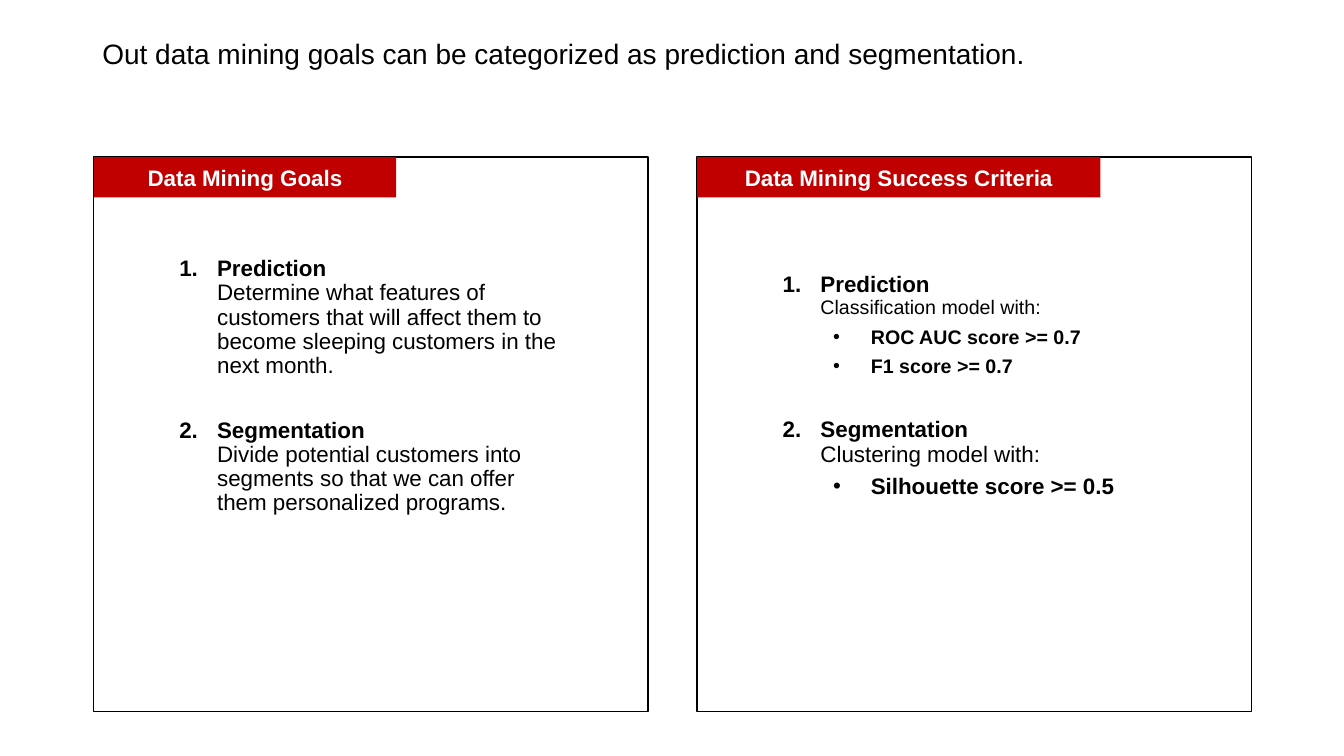
from lxml import etree
from pptx import Presentation
from pptx import util as u
from pptx.dml.color import RGBColor
from pptx.enum import shapes, text
from pptx.oxml.ns import qn

FONT = "Arial"
BLACK, WHITE, RED = "000000", "FFFFFF", "C00000"
PANEL_TOP, PANEL_SIDE, PANEL_STEP = 112.3, 396, 431

# Each panel: heading, heading width, and numbered goals.
# Each goal: name, detail, text size of the detail, bulleted measures.
PANELS = [
    ("Data Mining Goals", 216, [
        ("Prediction", "Determine what features of customers that will affect "
         "them to become sleeping customers in the next month.", 16, []),
        ("Segmentation", "Divide potential customers into segments so that "
         "we can offer them personalized programs.", 16, []),
    ]),
    ("Data Mining Success Criteria", 288, [
        ("Prediction", "Classification model with:", 14,
         ["ROC AUC score >= 0.7", "F1 score >= 0.7"]),
        ("Segmentation", "Clustering model with:", 16,
         ["Silhouette score >= 0.5"]),
    ]),
]


def colour(code):
    return RGBColor.from_string(code)


def set_font(font, size, code=BLACK, bold=False):
    font.name, font.size, font.bold = FONT, u.Pt(size), bold
    font.color.rgb = colour(code)


def add_rect(page, left, top, width, height, fill, line=None):
    rect = page.shapes.add_shape(shapes.MSO_SHAPE.RECTANGLE, u.Pt(left),
                                 u.Pt(top), u.Pt(width), u.Pt(height))
    rect.shadow.inherit = False
    rect.fill.solid()
    rect.fill.fore_color.rgb = colour(fill)
    if line:
        rect.line.color.rgb = colour(line)
        rect.line.width = u.Pt(1)
    else:
        rect.line.fill.background()
    return rect


def add_text_box(page, left, top, width, height):
    box = page.shapes.add_textbox(u.Pt(left), u.Pt(top),
                                  u.Pt(width), u.Pt(height))
    box.text_frame.word_wrap = True
    box.text_frame.vertical_anchor = text.MSO_ANCHOR.MIDDLE
    return box.text_frame


def add_title(page, words):
    para = add_text_box(page, 66, 0, 828, 79.2).paragraphs[0]
    para.text = words
    para.line_spacing = 0.9
    set_font(para.font, 20)


def add_heading(page, left, width, words):
    frame = add_rect(page, left, PANEL_TOP, width, 28.8, RED).text_frame
    frame.vertical_anchor = text.MSO_ANCHOR.MIDDLE
    para = frame.paragraphs[0]
    para.text = words
    para.alignment = text.PP_ALIGN.CENTER
    set_font(para.font, 16, WHITE, True)


def add_span(para, words, size, bold):
    span = para.add_run()
    span.text = words
    set_font(span.font, size, bold=bold)


def add_item(frame, level, indent, marker, **settings):
    """Add a list paragraph with a hanging marker."""
    para = frame.paragraphs[0]
    if para.runs:
        para = frame.add_paragraph()
    para.level = level
    para.line_spacing = 0.9
    para.space_after = u.Pt(6)
    props = para._p.get_or_add_pPr()
    props.set("marL", str(u.Pt(indent)))
    props.set("indent", str(-u.Pt(27)))
    etree.SubElement(props, qn("a:buFont"), typeface=FONT)
    etree.SubElement(props, qn(marker), **settings)
    return para


def add_goals(page, left, goals):
    frame = add_text_box(page, left, 177, 288, 198)
    for number, (name, detail, size, measures) in enumerate(goals, 1):
        para = add_item(frame, 0, 27, "a:buAutoNum",
                        type="arabicPeriod", startAt=str(number))
        if number > 1:
            para.space_before = u.Pt(23)
        add_span(para, name, 16, True)
        para.add_line_break()
        add_span(para, detail, size, False)
        for measure in measures:
            para = add_item(frame, 1, 63, "a:buChar", char="•")
            add_span(para, measure, size, True)


def main():
    deck = Presentation()
    deck.slide_width, deck.slide_height = u.Pt(960), u.Pt(540)
    page = deck.slides.add_slide(deck.slide_layouts[6])
    add_title(page, "Out data mining goals can be categorized as "
                    "prediction and segmentation.")

    # Panels side by side
    for index, (heading, width, goals) in enumerate(PANELS):
        left = 67 + index * PANEL_STEP
        add_rect(page, left, PANEL_TOP, PANEL_SIDE, PANEL_SIDE, WHITE, BLACK)
        add_heading(page, left, width, heading)
        add_goals(page, left + 54, goals)

    deck.save("out.pptx")


if __name__ == "__main__":
    main()
